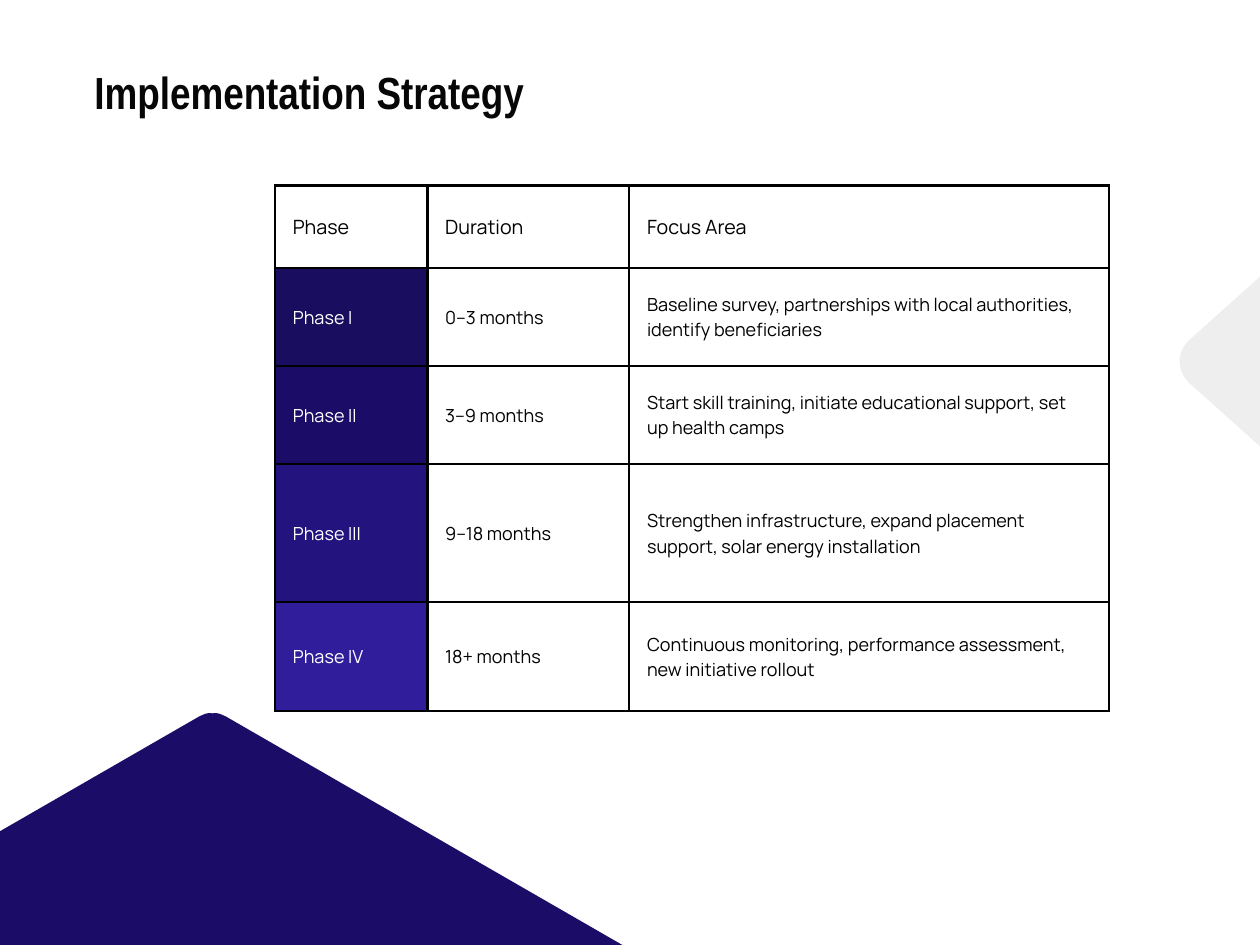
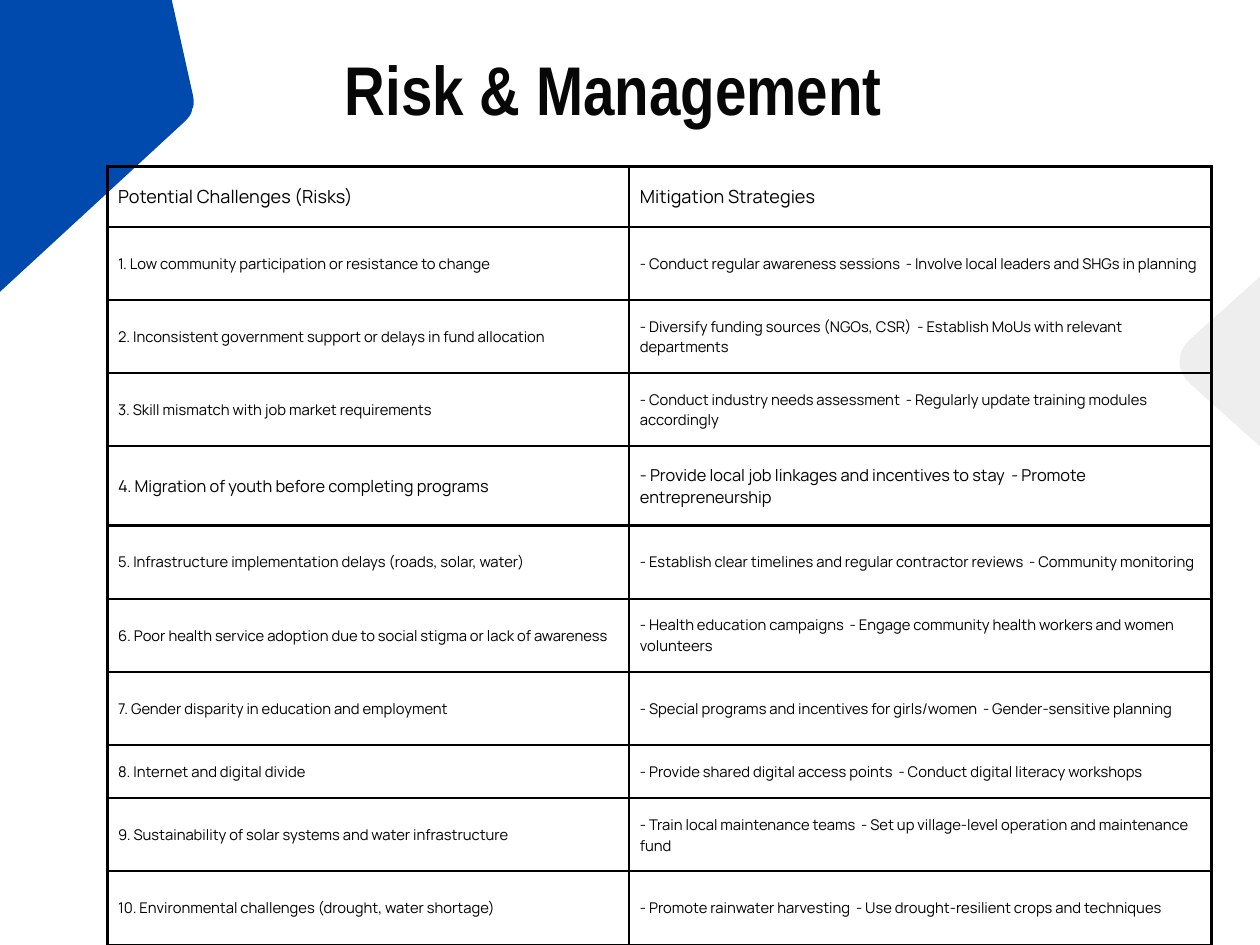
from lxml import etree
from pptx import Presentation
from pptx.dml.color import RGBColor as Rgb
from pptx.enum.text import MSO_ANCHOR as Anchor, MSO_AUTO_SIZE as Auto, PP_ALIGN as Align
from pptx.oxml.ns import qn
from pptx.util import Inches, Pt

COLORS = {
    "ink": "070707", "black": "000000", "white": "FFFFFF",
    "navy": "1A0C67", "blue": "004AAD", "grey": "EEEEEE",
    "one": "190D5F", "two": "1A0C67", "three": "23137F", "four": "301D9C",
}
HEAD, BODY = "Arial Narrow", "Manrope"

WIDE = [
    [(0, 0.01), (0.04, 0), (0.08, 0.02), (0.12, 0.04)],
    [(5.9, 3.37), (5.92, 3.38), (5.92, 3.4), (5.92, 3.41)],
    [(5.92, 3.41), (5.91, 3.43), (5.9, 3.44), (5.89, 3.44)],
]
SMALL = [
    [(0, 0), (0.07, 0), (0.13, 0.03), (0.18, 0.08)],
    [(1.14, 1.15), (1.17, 1.18), (1.18, 1.23), (1.16, 1.27)],
    [(1.16, 1.27), (1.14, 1.32), (1.1, 1.34), (1.05, 1.34)],
]

PHASES = [
    ("Phase", "Duration", "Focus Area"),
    ("Phase I", "0–3 months",
     "Baseline survey, partnerships with local authorities, identify beneficiaries"),
    ("Phase II", "3–9 months",
     "Start skill training, initiate educational support, set up health camps"),
    ("Phase III", "9–18 months",
     "Strengthen infrastructure, expand placement support, solar energy installation"),
    ("Phase IV", "18+ months",
     "Continuous monitoring, performance assessment, new initiative rollout"),
]
RISKS = [
    ("Potential Challenges (Risks)", "Mitigation Strategies"),
    ("1. Low community participation or resistance to change",
     "- Conduct regular awareness sessions  - Involve local leaders and SHGs in planning"),
    ("2. Inconsistent government support or delays in fund allocation",
     "- Diversify funding sources (NGOs, CSR)  - Establish MoUs with relevant departments"),
    ("3. Skill mismatch with job market requirements",
     "- Conduct industry needs assessment  - Regularly update training modules accordingly"),
    ("4. Migration of youth before completing programs",
     "- Provide local job linkages and incentives to stay  - Promote entrepreneurship"),
    ("5. Infrastructure implementation delays (roads, solar, water)",
     "- Establish clear timelines and regular contractor reviews  - Community monitoring"),
    ("6. Poor health service adoption due to social stigma or lack of awareness",
     "- Health education campaigns  - Engage community health workers and women volunteers"),
    ("7. Gender disparity in education and employment",
     "- Special programs and incentives for girls/women  - Gender-sensitive planning"),
    ("8. Internet and digital divide",
     "- Provide shared digital access points  - Conduct digital literacy workshops"),
    ("9. Sustainability of solar systems and water infrastructure",
     "- Train local maintenance teams  - Set up village-level operation and maintenance fund"),
    ("10. Environmental challenges (drought, water shortage)",
     "- Promote rainwater harvesting  - Use drought-resilient crops and techniques"),
]


def curve(a, b, c, d, steps=8):
    for i in range(steps + 1):
        t = i / steps
        s = 1 - t
        yield tuple(s**3 * p + 3 * s * s * t * q + 3 * s * t * t * r + t**3 * e
                    for p, q, r, e in zip(a, b, c, d))


class Deck:
    def __init__(self, width, height):
        self.prs = Presentation()
        self.prs.slide_width = Inches(width)
        self.prs.slide_height = Inches(height)

    def page(self):
        self.slide = self.prs.slides.add_slide(self.prs.slide_layouts[5])

    def style(self, para, font, size, color, lead, bold=False):
        para.alignment = Align.LEFT
        para.line_spacing = Pt(lead)
        face = para.font
        face.name, face.size, face.bold = font, Pt(size), bold
        face.color.rgb = Rgb.from_string(COLORS[color])

    def title(self, text, size, *box):
        shape = self.slide.shapes.title
        shape.left, shape.top, shape.width, shape.height = map(Inches, box)
        frame = shape.text_frame
        frame.text = text
        frame.margin_left = frame.margin_right = 0
        frame.margin_top = frame.margin_bottom = 0
        frame.word_wrap = True
        frame.auto_size = Auto.SHAPE_TO_FIT_TEXT
        frame.vertical_anchor = Anchor.TOP
        self.style(frame.paragraphs[0], HEAD, size, "ink", size, True)

    def roof(self, half, mid, top, color, turn=0):
        right = [point for part in half for point in curve(*part)]
        full = right + [(-x, y) for x, y in reversed(right)]
        dots = [(Inches(mid + x), Inches(top + y)) for x, y in full]
        pen = self.slide.shapes.build_freeform(*dots[0])
        pen.add_line_segments(dots[1:], close=True)
        shape = pen.convert_to_shape()
        shape.shadow.inherit = False
        shape.fill.solid()
        shape.fill.fore_color.rgb = Rgb.from_string(COLORS[color])
        shape.line.fill.background()
        shape.rotation = turn

    def edges(self, cell):
        props = cell._tc.get_or_add_tcPr()
        for side in "LRTB":
            line = etree.SubElement(props, qn(f"a:ln{side}"), w=str(Pt(1.5)))
            fill = etree.SubElement(line, qn("a:solidFill"))
            etree.SubElement(fill, qn("a:srgbClr"), val=COLORS["black"])

    def cell(self, cell, text, size, pad, fill=None):
        cell.text = text
        cell.vertical_anchor = Anchor.MIDDLE
        cell.margin_left = cell.margin_right = Inches(pad)
        cell.margin_top = cell.margin_bottom = Inches(pad)
        self.edges(cell)
        if fill:
            cell.fill.solid()
            cell.fill.fore_color.rgb = Rgb.from_string(COLORS[fill])
        else:
            cell.fill.background()
        self.style(cell.text_frame.paragraphs[0], BODY, size,
                   "white" if fill else "black", size * 1.4)

    def table(self, data, left, top, cols, rows, sizes, pad, fills=()):
        box = map(Inches, (left, top, sum(cols), sum(rows)))
        grid = self.slide.shapes.add_table(len(rows), len(cols), *box).table
        grid.first_row = grid.horz_banding = False
        for col, width in zip(grid.columns, cols):
            col.width = Inches(width)
        for r, texts in enumerate(data):
            grid.rows[r].height = Inches(rows[r])
            for c, text in enumerate(texts):
                fill = fills[r] if fills and c == 0 else None
                self.cell(grid.cell(r, c), text, sizes[r], pad, fill)


def main():
    deck = Deck(10.67, 8)

    deck.page()
    deck.roof(WIDE, 1.8, 6.03, "navy")
    deck.roof(SMALL, 10.66, 2.39, "grey", 270)
    deck.table(PHASES, 2.33, 1.57, [1.29, 1.71, 4.06],
               [0.7, 0.83, 0.83, 1.17, 0.92], [12] + [11] * 4, 0.15,
               [None, "one", "two", "three", "four"])
    deck.title("Implementation Strategy", 27.4, 0.8, 0.62, 6.16, 0.41)

    deck.page()
    deck.roof(WIDE, -0.01, -1.31, "blue", 107.4)
    deck.roof(SMALL, 10.66, 2.39, "grey", 270)
    deck.table(RISKS, 0.91, 1.41, [4.42, 4.93],
               [0.51] + [0.62] * 3 + [0.67] + [0.62] * 3 + [0.45] + [0.62] * 2,
               [11] + [9] * 3 + [10] + [9] * 6, 0.09)
    deck.title("Risk & Management", 42, 2.92, 0.51, 4.82, 0.61)

    deck.prs.save("out.pptx")


if __name__ == "__main__":
    main()
